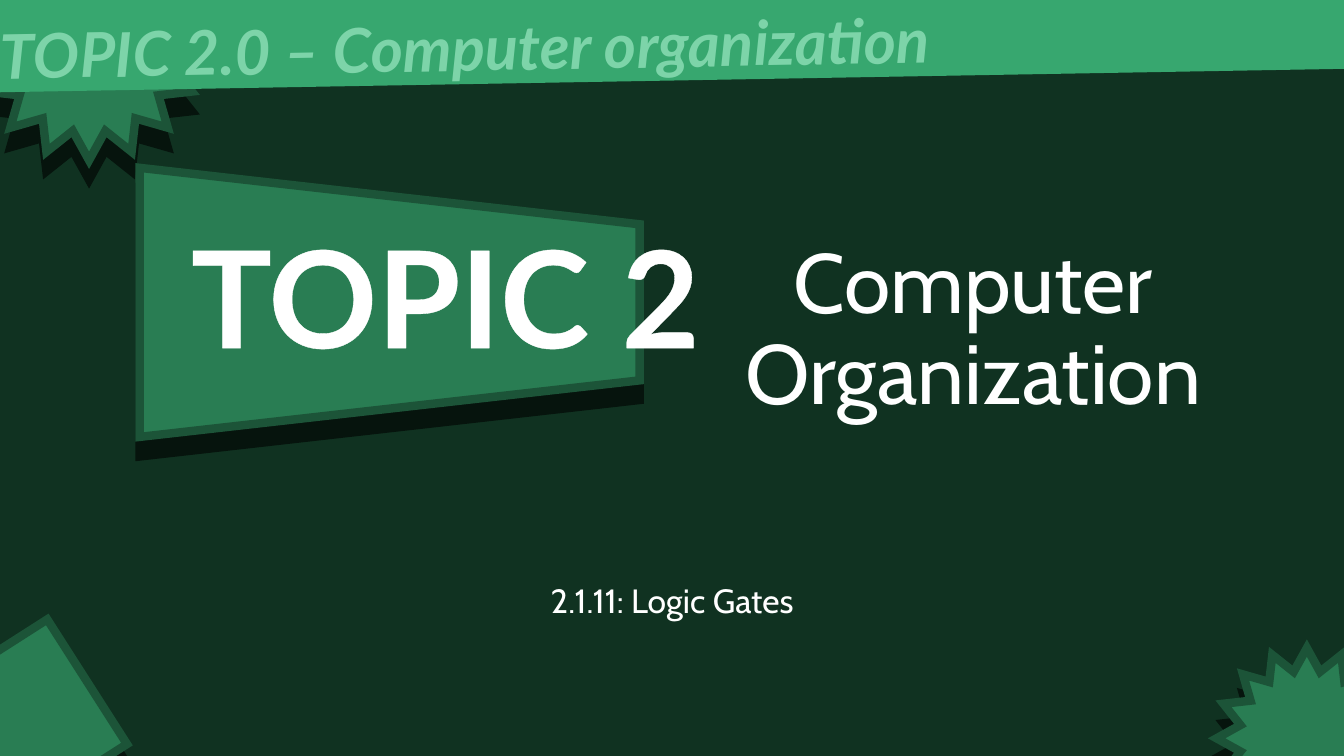
from lxml import etree
from pptx import Presentation
from pptx.dml.color import RGBColor
from pptx.enum.shapes import MSO_SHAPE
from pptx.enum.text import MSO_ANCHOR, MSO_AUTO_SIZE, PP_ALIGN
from pptx.oxml.ns import qn
from pptx.util import Cm, Pt

BACKGROUND = RGBColor(0x10, 0x32, 0x21)
FILL = RGBColor(0x29, 0x7D, 0x53)
EDGE = RGBColor(0x1C, 0x54, 0x38)
SHADOW = RGBColor(0x06, 0x14, 0x0D)
BAND = RGBColor(0x37, 0xA7, 0x6F)
MINT = RGBColor(0x7D, 0xD4, 0xA9)
WHITE = RGBColor(0xFF, 0xFF, 0xFF)

STAR = MSO_SHAPE.STAR_16_POINT
RECTANGLE = MSO_SHAPE.RECTANGLE
TRAPEZOID = MSO_SHAPE.TRAPEZOID
TOP = MSO_ANCHOR.TOP
BOTTOM = MSO_ANCHOR.BOTTOM
LEFT = PP_ALIGN.LEFT
CENTER = PP_ALIGN.CENTER
NO_FIT = MSO_AUTO_SIZE.NONE


def lengths(frame):
    return [Cm(value) for value in frame]


def add_color(parent, color):
    fill = etree.SubElement(parent, qn("a:solidFill"))
    etree.SubElement(fill, qn("a:srgbClr"), val=str(color))


def add_panel(shapes, kind, frame, fill, rotation=0):
    panel = shapes.add_shape(kind, *lengths(frame))
    panel.rotation = rotation
    panel.shadow.inherit = False
    panel.fill.solid()
    panel.fill.fore_color.rgb = fill
    panel.line.fill.background()
    return panel


def add_raised_panel(shapes, kind, frame, rotation=0):
    panel = add_panel(shapes, kind, frame, FILL, rotation)
    panel.line.color.rgb = EDGE
    panel.line.width = Pt(6)
    properties = panel._element.spPr
    etree.SubElement(properties.find(qn("a:ln")), qn("a:miter"), lim="800000")
    shadow = etree.SubElement(
        properties.find(qn("a:effectLst")), qn("a:outerShdw"),
        blurRad="0", dist=str(Pt(14)), dir=str(90 * 60000), rotWithShape="0")
    etree.SubElement(shadow, qn("a:srgbClr"), val=str(SHADOW))
    return panel


def write_text(box, text, *, font, size, color=WHITE, bold=False, italic=False,
               align=CENTER, anchor=TOP, spacing=1.0, before=0, outline=0):
    frame = box.text_frame
    frame.word_wrap = True
    frame.auto_size = NO_FIT
    frame.vertical_anchor = anchor
    para = frame.paragraphs[0]
    para.alignment = align
    para.line_spacing = spacing
    para.space_before = Pt(before)
    span = para.add_run()
    span.text = text
    span.font.name = font
    span.font.size = Pt(size)
    span.font.bold = bold
    span.font.italic = italic
    span.font.color.rgb = color
    if outline:
        line = etree.Element(qn("a:ln"), w=str(Pt(outline)))
        add_color(line, color)
        span.font._element.insert(0, line)


def add_label(shapes, frame, text, rotation=0, **style):
    box = shapes.add_textbox(*lengths(frame))
    box.rotation = rotation
    write_text(box, text, **style)


def fill_placeholder(holder, frame, text, **style):
    holder.left, holder.top, holder.width, holder.height = lengths(frame)
    write_text(holder, text, font="Cabin", spacing=0.9, **style)


def add_banner(page):
    shapes = page.shapes.add_group_shape().shapes
    add_panel(shapes, RECTANGLE, (-0.56, -1.73, 35.2, 3.76), BAND, 359)
    add_label(shapes, (-0.25, -0.03, 40.31, 2.13),
              "TOPIC 2.0 – Computer organization", 359, font="Lato", size=44,
              color=MINT, bold=True, italic=True, align=LEFT, outline=1.5)


def add_topic(page):
    shapes = page.shapes.add_group_shape().shapes
    sign = add_raised_panel(shapes, TRAPEZOID, (6.43, 1.32, 6.78, 12.6), 90)
    sign.adjustments[0] = 0.21
    add_label(shapes, (2.21, 5.26, 18.03, 4.37), "TOPIC 2",
              font="Lato", size=96, bold=True, outline=3)


def main():
    deck = Presentation()
    deck.slide_width, deck.slide_height = Cm(33.87), Cm(19.05)
    page = deck.slides.add_slide(deck.slide_layouts[0])
    page.background.fill.solid()
    page.background.fill.fore_color.rgb = BACKGROUND

    add_raised_panel(page.shapes, STAR, (-0.56, -1.57, 5.61, 5.61))
    add_raised_panel(page.shapes, RECTANGLE, (-1.45, 16.38, 3.96, 3.73), 327.4)
    add_raised_panel(page.shapes, STAR, (30.66, 16.33, 4.55, 4.55))
    fill_placeholder(page.shapes.title, (16.46, 2.92, 16.13, 7.85),
                     "Computer Organization", size=60, anchor=BOTTOM)
    fill_placeholder(page.placeholders[1], (4.24, 14.6, 25.4, 1.98),
                     "2.1.11: Logic Gates", size=24, before=10)
    add_banner(page)
    add_topic(page)
    deck.save("out.pptx")


if __name__ == "__main__":
    main()
